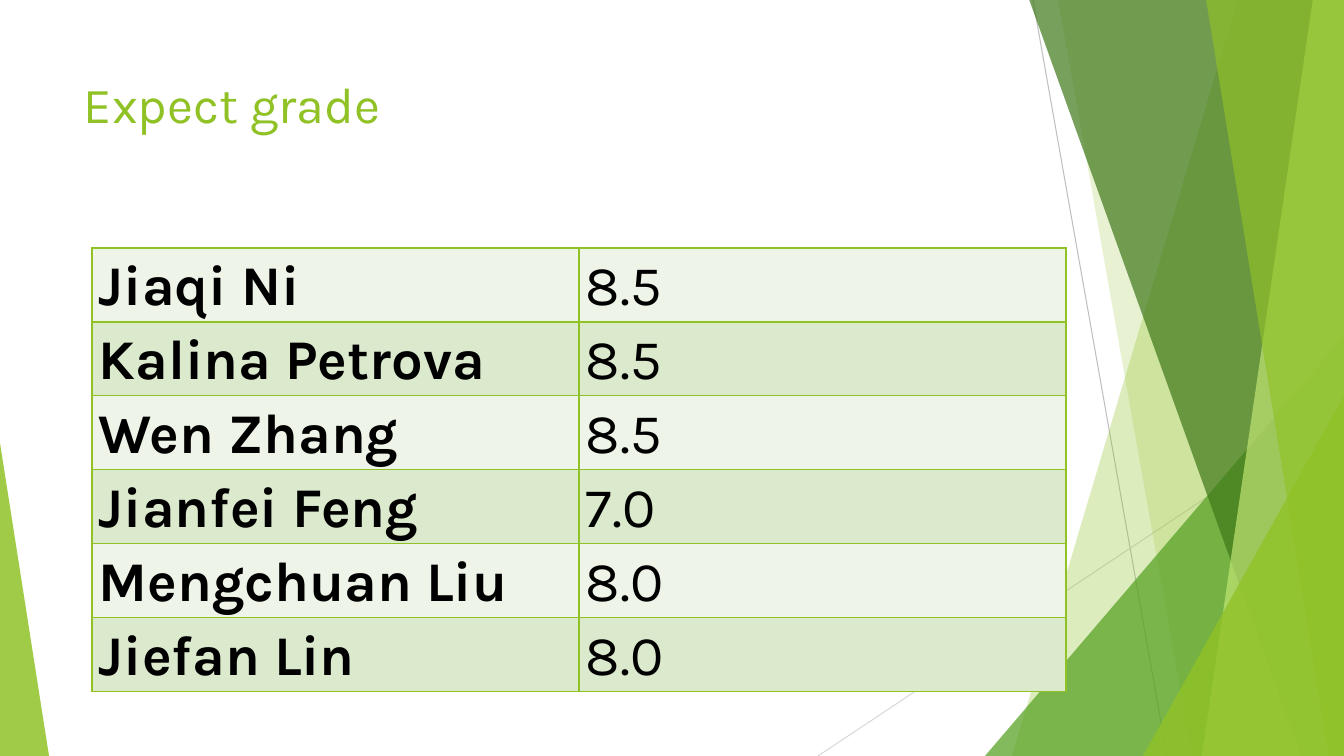
import pptx
import pptx.util
import pptx.dml.color
import pptx.enum.shapes
import pptx.enum.text
import pptx.oxml
import pptx.oxml.ns

TITLE = "Expect grade"
GRADES = [
    ("Jiaqi Ni", "8.5"),
    ("Kalina Petrova", "8.5"),
    ("Wen Zhang", "8.5"),
    ("Jianfei Feng", "7.0"),
    ("Mengchuan Liu", "8.0"),
    ("Jiefan Lin", "8.0"),
]

THEME = {
    "font": "Karla", "title": 36, "body": 40,
    "lime": "90C226", "leaf": "54A021", "moss": "3F7819", "pale": "C0E474",
    "ink": "000000", "rows": ("EEF4E8", "DBE9CD"),
    "steel": "BFBFBF", "mist": "D9D9D9",
}

WIDE, HIGH = 1344, 756
SCALE = 914400 / 100.8

# Start x, start y, end x, end y, colour
RAYS = [(1033, 0, 1167, HIGH, "steel"), (WIDE, 406, 818, HIGH, "mist")]

# Back to front. Band: x at the top, x at the bottom, up to the right edge.
# Wedge: left, top, width, side of the apex, down to the bottom edge.
DECOR = [
    ("band", (1238, 1012), "lime", 30),
    ("band", (1058, 1192), "lime", 20),
    ("wedge", (985, 336, 359, 1), "leaf", 72),
    ("band", (1029, 1301), "moss", 70),
    ("band", (1313, 1202), "pale", 70),
    ("band", (1206, 1329), "lime", 65),
    ("wedge", (1143, 396, 201, 1), "lime", 80),
    ("wedge", (0, 443, 49, 0), "lime", 85),
]

TITLE_BOX = (74, 68, 948, 145)
GRID_BOX = (92, 248, 974, 435)
CELL_PAD = 7


def px(*nums):
    return [pptx.util.Emu(round(n * SCALE)) for n in nums]


def rgb(code):
    return pptx.dml.color.RGBColor.from_string(code)


def add(parent, tag, **attrs):
    node = pptx.oxml.ns.qn(tag)
    child = parent.makeelement(node, attrs)
    parent.append(child)
    return child


def style(para, size, colour, bold=False):
    font = para.font
    font.name = THEME["font"]
    font.size = pptx.util.Pt(size)
    font.bold = bold
    font.color.rgb = rgb(colour)


def draw_ray(slide, x1, y1, x2, y2, colour):
    kind = pptx.enum.shapes.MSO_CONNECTOR.STRAIGHT
    ray = slide.shapes.add_connector(kind, *px(x1, y1, x2, y2))
    ray.line.color.rgb = rgb(THEME[colour])
    ray.line.width = pptx.util.Pt(0.75)
    add(ray._element.spPr, "a:effectLst")


def make_band(slide, top, low):
    start, *rest = [(top, -1), (WIDE, -1), (WIDE, HIGH), (low, HIGH)]
    path = slide.shapes.build_freeform(*px(*start), scale=1.0)
    path.add_line_segments([px(*spot) for spot in rest], close=True)
    return path.convert_to_shape()


def make_wedge(slide, left, top, width, apex):
    kind = pptx.enum.shapes.MSO_SHAPE.ISOSCELES_TRIANGLE
    shape = slide.shapes.add_shape(kind, *px(left, top, width, HIGH - top))
    shape.adjustments[0] = apex
    return shape


def draw_decor(slide, kind, spots, colour, alpha):
    make = make_band if kind == "band" else make_wedge
    shape = make(slide, *spots)
    shape.shadow.inherit = False
    shape.line.fill.background()
    shape.fill.solid()
    shape.fill.fore_color.rgb = rgb(THEME[colour])
    tone = shape._element.spPr.find(".//" + pptx.oxml.ns.qn("a:srgbClr"))
    add(tone, "a:alpha", val=str(alpha * 1000))


def draw_title(slide):
    frame = slide.shapes.add_textbox(*px(*TITLE_BOX)).text_frame
    frame.word_wrap = True
    para = frame.paragraphs[0]
    para.text = TITLE
    style(para, THEME["title"], THEME["lime"])


def fill_cell(cell, text, shade, bold):
    cell.margin_left, cell.margin_right = px(CELL_PAD, CELL_PAD)
    cell.margin_top = cell.margin_bottom = 0
    para = cell.text_frame.paragraphs[0]
    para.text = text
    para.alignment = pptx.enum.text.PP_ALIGN.JUSTIFY
    para.line_spacing = 1.1
    style(para, THEME["body"], THEME["ink"], bold)
    props = cell._tc.get_or_add_tcPr()
    for side in ("a:lnL", "a:lnR", "a:lnT", "a:lnB"):
        edge = add(props, side, w=str(pptx.util.Pt(1)))
        add(add(edge, "a:solidFill"), "a:srgbClr", val=THEME["lime"])
    cell.fill.solid()
    cell.fill.fore_color.rgb = rgb(shade)


def draw_grades(slide):
    count, cols = len(GRADES), len(GRADES[0])
    grid = slide.shapes.add_table(count, cols, *px(*GRID_BOX)).table
    grid.first_row = grid.horz_banding = False
    for r, row in enumerate(GRADES):
        for c, text in enumerate(row):
            fill_cell(grid.cell(r, c), text, THEME["rows"][r % 2], c == 0)


def main():
    deck = pptx.Presentation()
    deck.slide_width, deck.slide_height = px(WIDE, HIGH)
    slide = deck.slides.add_slide(deck.slide_layouts[6])
    for ray in RAYS:
        draw_ray(slide, *ray)
    for part in DECOR:
        draw_decor(slide, *part)
    draw_title(slide)
    draw_grades(slide)
    deck.save("out.pptx")


if __name__ == "__main__":
    main()
